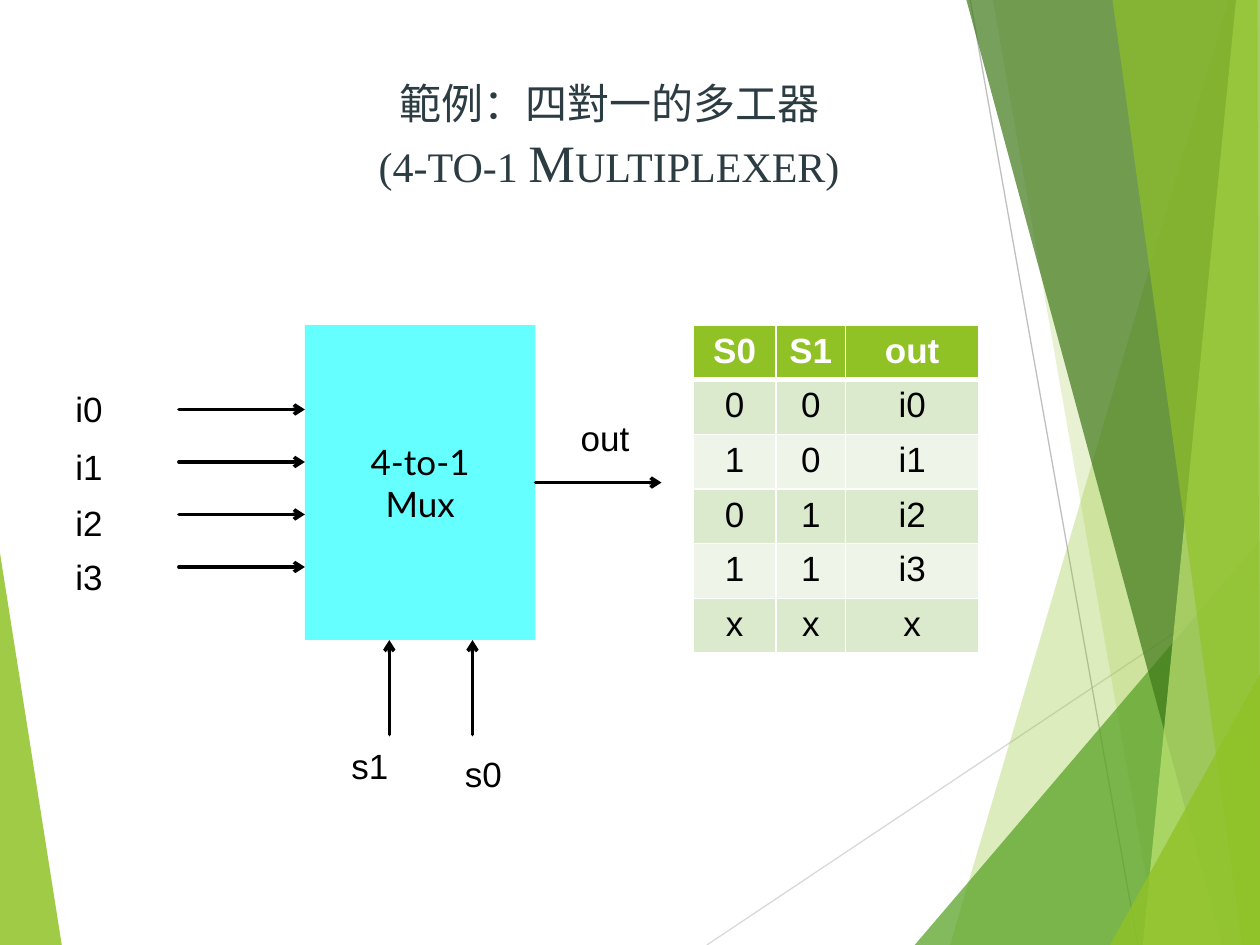
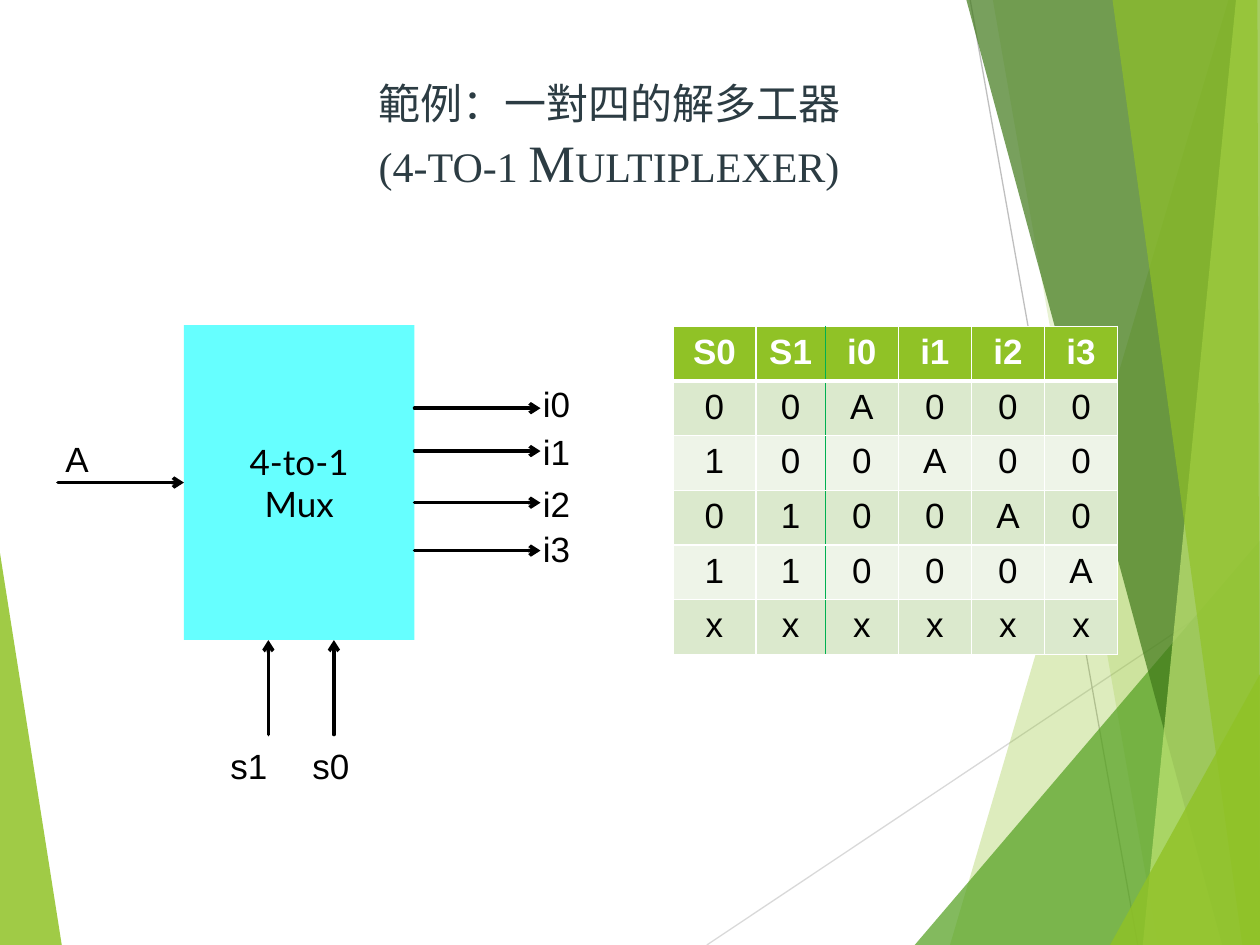
from lxml import etree
from pptx import Presentation
from pptx.dml.color import RGBColor
from pptx.enum.shapes import MSO_CONNECTOR, MSO_SHAPE
from pptx.enum.text import MSO_ANCHOR, PP_ALIGN
from pptx.oxml.ns import qn
from pptx.util import Inches, Pt

STRAIGHT = MSO_CONNECTOR.STRAIGHT
RECTANGLE = MSO_SHAPE.RECTANGLE
CENTER, LEFT = PP_ALIGN.CENTER, PP_ALIGN.LEFT
MIDDLE, TOP, BOTTOM = MSO_ANCHOR.MIDDLE, MSO_ANCHOR.TOP, MSO_ANCHOR.BOTTOM
LEFT_SIDE, RIGHT_SIDE = 1, 3

WIDTH, HEIGHT = 10, 7.5
WHITE, BLACK = "FFFFFF", "000000"
LIME, LEAF, FOREST, PALE = "90C226", "54A021", "3F7819", "C0E474"
TITLE_COLOR, MUX_COLOR, DIVIDER = "2C3C43", "66FFFF", "00B050"
BANDS = ("DBE9CD", "EEF4E8")

MUX_WIDTH, MUX_HEIGHT, MUX_TOP = 1.83, 2.5, 2.58
WIRE_LENGTH, SELECT_LENGTH = 1, 0.75
ROW_HEIGHT = 0.43

# Colour, opacity in percent, corners in inches
FACETS = [
    (LIME, 85, [(0, 4.39), (0.49, HEIGHT), (0, HEIGHT)]),
    (LIME, 30, [(9.75, 0), (7.54, HEIGHT), (WIDTH, HEIGHT), (WIDTH, 0)]),
    (LIME, 20, [(7.88, 0), (9.19, HEIGHT), (WIDTH, HEIGHT), (WIDTH, 0)]),
    (LEAF, 72, [(7.26, HEIGHT), (WIDTH, 4.29), (WIDTH, HEIGHT)]),
    (FOREST, 70, [(7.67, 0), (9.7, HEIGHT), (WIDTH, HEIGHT), (WIDTH, 0)]),
    (PALE, 70, [(9.81, 0), (9.07, HEIGHT), (WIDTH, HEIGHT), (WIDTH, 0)]),
    (LIME, 65, [(8.83, 0), (9.86, HEIGHT), (WIDTH, HEIGHT), (9.98, 0)]),
    (LIME, 80, [(8.81, HEIGHT), (WIDTH, 5.35), (WIDTH, HEIGHT)]),
]
RAYS = [("D9D9D9", (5.61, HEIGHT), (WIDTH, 4.57)),
        ("BFBFBF", (7.7, 0), (9.03, HEIGHT))]


def rgb(color):
    return RGBColor.from_string(color)


def style(paragraph, size, font, color, align=LEFT, bold=False):
    paragraph.alignment = align
    paragraph.font.size = Pt(size)
    paragraph.font.name = font
    paragraph.font.bold = bold
    paragraph.font.color.rgb = rgb(color)


def add_line(slide, start, end, color, width):
    line = slide.shapes.add_connector(
        STRAIGHT, *(Inches(value) for value in (*start, *end)))
    line.line.color.rgb = rgb(color)
    line.line.width = Pt(width)
    etree.SubElement(line.element.spPr, qn("a:effectLst"))
    return line


def add_arrow(slide, start, end):
    arrow = add_line(slide, start, end, BLACK, 2)
    stroke = arrow.element.spPr.find(qn("a:ln"))
    stroke.set("cap", "rnd")
    etree.SubElement(stroke, qn("a:tailEnd"), type="arrow")
    return arrow


def add_facet(slide, color, opacity, corners):
    points = [(Inches(x), Inches(y)) for x, y in corners]
    outline = slide.shapes.build_freeform(*points[0])
    outline.add_line_segments(points[1:], close=True)
    facet = outline.convert_to_shape()
    facet.shadow.inherit = False
    facet.fill.solid()
    facet.fill.fore_color.rgb = rgb(color)
    facet.line.fill.background()
    fill_color = facet.element.spPr.find(qn("a:solidFill"))[0]
    etree.SubElement(fill_color, qn("a:alpha"), val=str(opacity * 1000))
    return facet


def move_backdrop_to_layout(slide, layout):
    """Draw the facets with the slide's tools, then hand them to its layout."""
    for placeholder in list(layout.placeholders):
        layout.shapes.element.remove(placeholder.element)
    backdrop = [add_facet(slide, *FACETS[0])]
    backdrop += [add_line(slide, start, end, color, 0.75)
                 for color, start, end in RAYS]
    backdrop += [add_facet(slide, *facet) for facet in FACETS[1:]]
    for part in backdrop:
        layout.shapes.element.append(part.element)


def add_textbox(slide, left, top, width, height, anchor=TOP):
    frame = slide.shapes.add_textbox(
        Inches(left), Inches(top), Inches(width), Inches(height)).text_frame
    frame.word_wrap = True
    frame.vertical_anchor = anchor
    return frame.paragraphs[0]


def add_title(slide, heading):
    title = add_textbox(slide, 0.75, 0.33, 8.17, 1.25, BOTTOM)
    title.text = f"{heading}\v(4-to-1 Multiplexer)"
    style(title, 30, "Times New Roman", TITLE_COLOR, CENTER)
    for run in title.runs:
        run._r.get_or_add_rPr().set("cap", "small")


def add_label(slide, text, left, top):
    label = add_textbox(slide, left, top, 0.92, 0.44)
    label.text = text
    style(label, 20, "Arial", BLACK)


def add_mux(slide, left, selects):
    """Draw the block and its select lines: (name, wire x, label x, label y)."""
    mux = slide.shapes.add_shape(RECTANGLE, Inches(left), Inches(MUX_TOP),
                                 Inches(MUX_WIDTH), Inches(MUX_HEIGHT))
    mux.shadow.inherit = False
    mux.fill.solid()
    mux.fill.fore_color.rgb = rgb(MUX_COLOR)
    mux.line.fill.background()
    mux.text_frame.text = "4-to-1\nMux"
    mux.text_frame.vertical_anchor = MIDDLE
    for paragraph in mux.text_frame.paragraphs:
        style(paragraph, 20, "Lato", BLACK, CENTER)
    bottom = MUX_TOP + MUX_HEIGHT
    for name, wire_x, label_x, label_y in selects:
        add_arrow(slide, (left + wire_x, bottom + SELECT_LENGTH),
                  (left + wire_x, bottom))
        add_label(slide, name, left + label_x, bottom + label_y)
    return mux


def add_bus(slide, wire_left, label_left, wire_tops, label_tops):
    """Draw the wires i0 to i3, with heights measured from the block's top."""
    for index, (wire_top, label_top) in enumerate(zip(wire_tops, label_tops)):
        y = MUX_TOP + wire_top
        add_arrow(slide, (wire_left, y), (wire_left + WIRE_LENGTH, y))
        add_label(slide, f"i{index}", label_left, MUX_TOP + label_top)


def add_multiplexer(slide, left):
    mux = add_mux(slide, left, [("s0", 1.33, 1.17, 0.84),
                                ("s1", 0.67, 0.27, 0.78)])
    add_bus(slide, left - WIRE_LENGTH, left - 1.92,
            [0.67 + index * 1.25 / 3 for index in range(4)],
            [0.45, 0.91, 1.35, 1.78])
    right, middle = left + MUX_WIDTH, MUX_TOP + MUX_HEIGHT / 2
    output = add_arrow(slide, (right, middle), (right + WIRE_LENGTH, middle))
    output.begin_connect(mux, RIGHT_SIDE)
    add_label(slide, "out", right + 0.26, middle - 0.57)


def add_demultiplexer(slide, left):
    mux = add_mux(slide, left, [("s0", 1.19, 0.92, 0.78),
                                ("s1", 0.67, 0.27, 0.78)])
    right, middle = left + MUX_WIDTH, MUX_TOP + MUX_HEIGHT / 2
    add_bus(slide, right, right + 0.92,
            [0.66, 1, 1.41, 1.79], [0.41, 0.79, 1.2, 1.56])
    source = add_arrow(slide, (left - WIRE_LENGTH, middle), (left, middle))
    source.end_connect(mux, LEFT_SIDE)
    add_label(slide, "A", left - 1.04, middle - 0.41)


def set_borders(cell, borders):
    """Set (colour, points) for the left, right, top and bottom edges."""
    properties = cell._tc.get_or_add_tcPr()
    for index, (side, (color, width)) in enumerate(zip("LRTB", borders)):
        edge = etree.Element(qn(f"a:ln{side}"), w=str(Pt(width)))
        fill = etree.SubElement(edge, qn("a:solidFill"))
        etree.SubElement(fill, qn("a:srgbClr"), val=color)
        properties.insert(index, edge)


def add_truth_table(slide, left, top, widths, rows, divider=WHITE):
    """Fill the table from strings; the divider follows the select columns."""
    table = slide.shapes.add_table(
        len(rows), len(widths), Inches(left), Inches(top),
        Inches(sum(widths)), Inches(ROW_HEIGHT * len(rows))).table
    for column, width in zip(table.columns, widths):
        column.width = Inches(width)
    for r, row in enumerate(rows):
        table.rows[r].height = Inches(ROW_HEIGHT)
        header = r == 0
        for c, value in enumerate(row.split()):
            cell = table.cell(r, c)
            cell.text = value
            style(cell.text_frame.paragraphs[0], 20, "Arial",
                  WHITE if header else BLACK, CENTER, header)
            cell.fill.solid()
            cell.fill.fore_color.rgb = rgb(LIME if header else BANDS[(r - 1) % 2])
            set_borders(cell, [(divider if c == 2 else WHITE, 1),
                               (divider if c == 1 else WHITE, 1),
                               (WHITE, 3 if r == 1 else 1),
                               (WHITE, 3 if header else 1)])


def main():
    deck = Presentation()
    deck.slide_width, deck.slide_height = Inches(WIDTH), Inches(HEIGHT)
    blank = deck.slide_layouts[6]

    mux_slide = deck.slides.add_slide(blank)
    move_backdrop_to_layout(mux_slide, blank)
    add_multiplexer(mux_slide, 2.42)
    add_title(mux_slide, "範例：四對一的多工器")
    add_truth_table(mux_slide, 5.5, 2.58, [0.66, 0.55, 1.06],
                    ["S0 S1 out", "0 0 i0", "1 0 i1", "0 1 i2", "1 1 i3",
                     "x x x"])

    demux_slide = deck.slides.add_slide(blank)
    add_demultiplexer(demux_slide, 1.46)
    add_title(demux_slide, "範例：一對四的解多工器")
    add_truth_table(demux_slide, 5.34, 2.59, [0.66, 0.55] + [0.58] * 4,
                    ["S0 S1 i0 i1 i2 i3", "0 0 A 0 0 0", "1 0 0 A 0 0",
                     "0 1 0 0 A 0", "1 1 0 0 0 A", "x x x x x x"], DIVIDER)

    deck.save("out.pptx")


if __name__ == "__main__":
    main()
